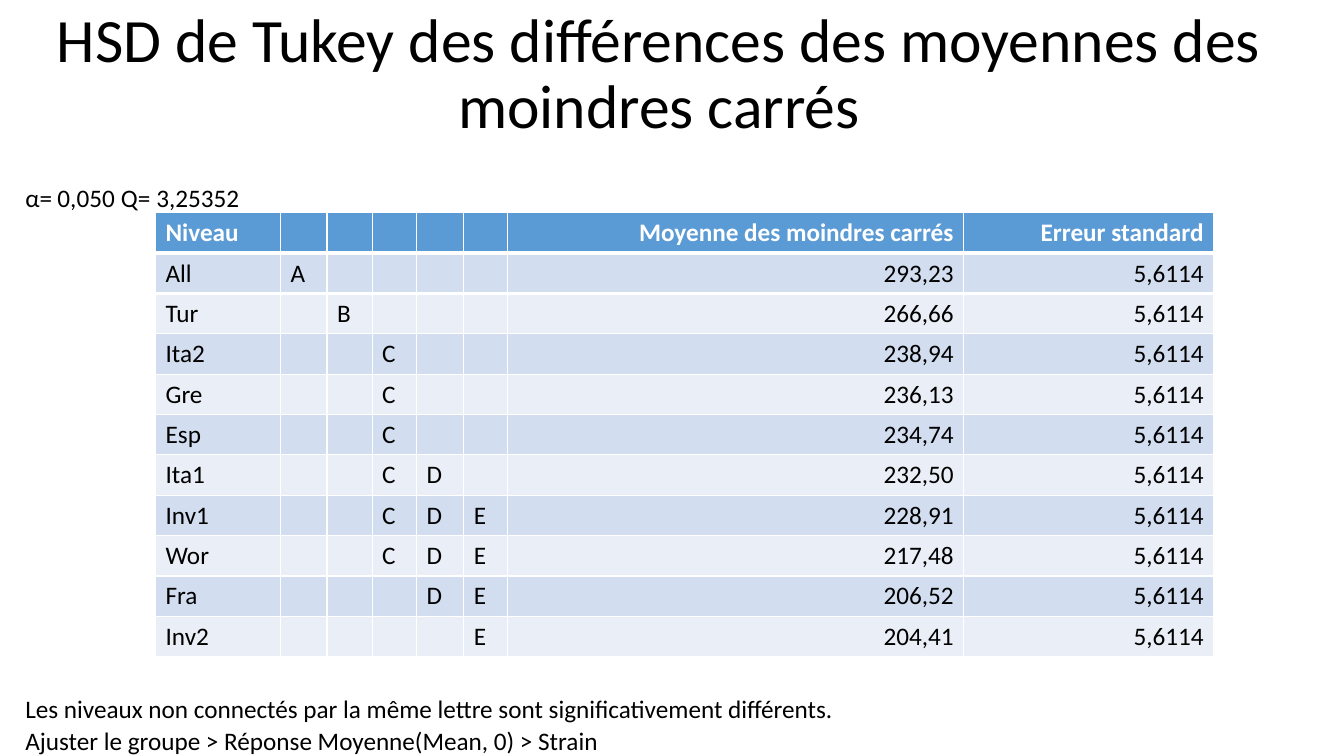
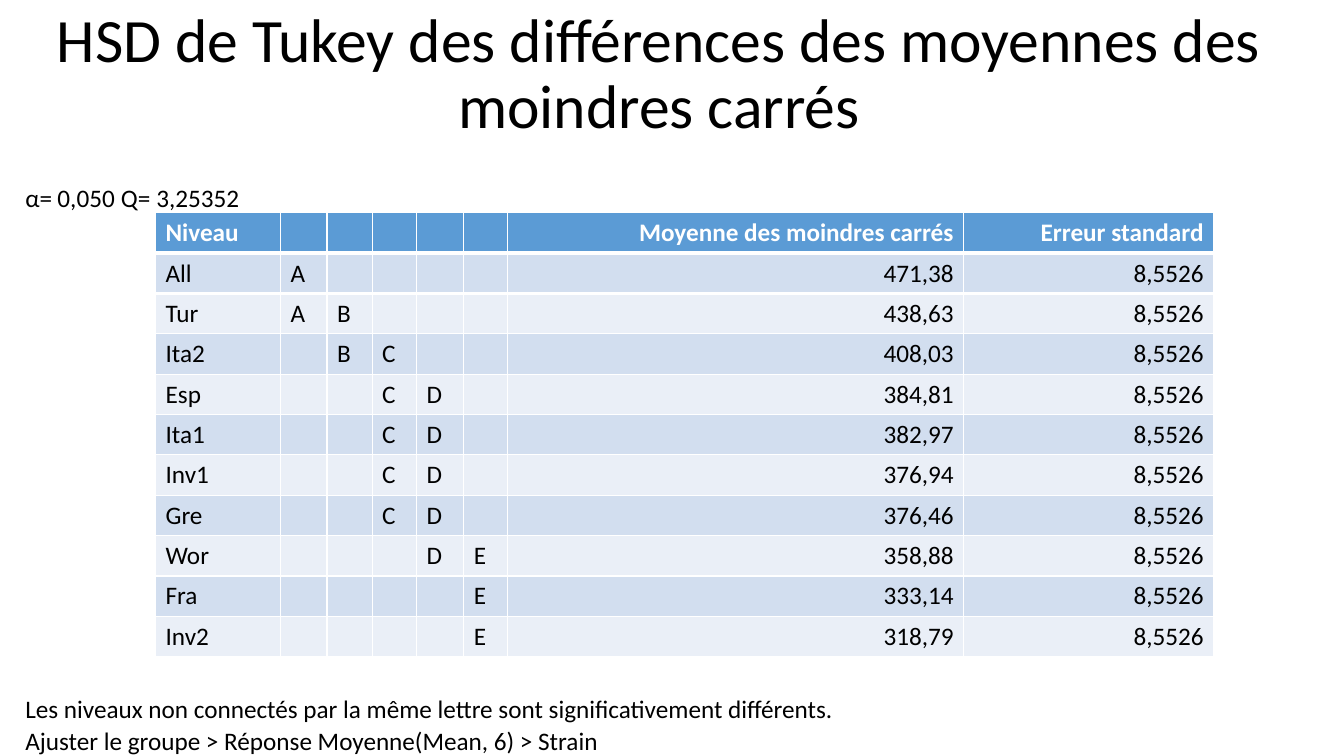
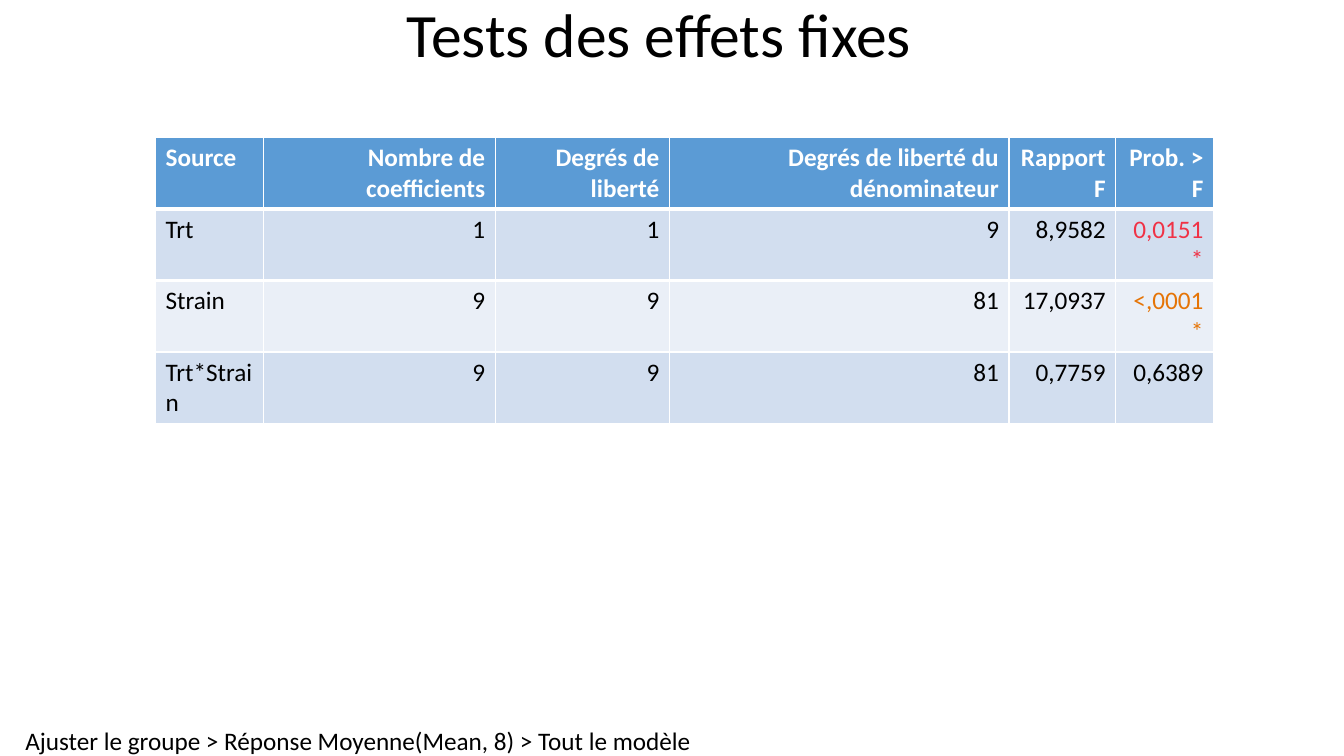
from dataclasses import dataclass

from lxml.etree import SubElement
from pptx import Presentation
from pptx.dml.color import RGBColor
from pptx.enum.text import MSO_ANCHOR, MSO_AUTO_SIZE, PP_ALIGN
from pptx.oxml.ns import qn
from pptx.util import Cm, Pt


@dataclass(frozen=True)
class Theme:
    font: str = "Calibri"
    title_size: Pt = Pt(44)
    text_size: Pt = Pt(18)
    header_rule: Pt = Pt(3)
    ink: RGBColor = RGBColor.from_string("000000")
    header_ink: RGBColor = RGBColor.from_string("FFFFFF")
    header_fill: RGBColor = RGBColor.from_string("5B9BD5")
    odd_fill: RGBColor = RGBColor.from_string("D2DEEF")
    even_fill: RGBColor = RGBColor.from_string("EAEFF7")
    significant: RGBColor = RGBColor.from_string("F03246")
    very_significant: RGBColor = RGBColor.from_string("E57406")


THEME = Theme()
LEFT_MARGIN = 0.64
LABEL_HEIGHT = 0.79
SOURCE_TOP = 18.28
TABLE_LEFT = 3.92
GROUP_LETTERS = "ABCDE"
TUKEY_TITLE = "HSD de Tukey des différences des moyennes des moindres carrés"
TUKEY_NOTE = "Les niveaux non connectés par la même lettre sont significativement différents."
TUKEY_HEADER = ["Niveau", *[""] * len(GROUP_LETTERS), "Moyenne des moindres carrés", "Erreur standard"]
TUKEY_WIDTHS = [3.15, 1.17, 1.14, 1.12, 1.19, 1.1, 11.5, 6.3]
TUKEY_PARAMETERS = [("α=", 0.64, 0.78), ("0,050", 1.45, 1.55), ("Q=", 3.05, 0.87), ("3,25352", 3.94, 2.3)]

tukey_tests = [
    ("Ajuster le groupe > Réponse Moyenne(Mean, 0) > Strain", "5,6114", [
        ("All", "A", "293,23"),
        ("Tur", "B", "266,66"),
        ("Ita2", "C", "238,94"),
        ("Gre", "C", "236,13"),
        ("Esp", "C", "234,74"),
        ("Ita1", "CD", "232,50"),
        ("Inv1", "CDE", "228,91"),
        ("Wor", "CDE", "217,48"),
        ("Fra", "DE", "206,52"),
        ("Inv2", "E", "204,41"),
    ]),
    ("Ajuster le groupe > Réponse Moyenne(Mean, 6) > Strain", "8,5526", [
        ("All", "A", "471,38"),
        ("Tur", "AB", "438,63"),
        ("Ita2", "BC", "408,03"),
        ("Esp", "CD", "384,81"),
        ("Ita1", "CD", "382,97"),
        ("Inv1", "CD", "376,94"),
        ("Gre", "CD", "376,46"),
        ("Wor", "DE", "358,88"),
        ("Fra", "E", "333,14"),
        ("Inv2", "E", "318,79"),
    ]),
]

fixed_effects = [
    ["Source", "Nombre de coefficients", "Degrés de liberté",
     "Degrés de liberté du dénominateur", "Rapport F", "Prob. > F"],
    ["Trt", "1", "1", "9", "8,9582", "0,0151*"],
    ["Strain", "9", "9", "81", "17,0937", "<,0001*"],
    ["Trt*Strain", "9", "9", "81", "0,7759", "0,6389"],
]
EFFECT_WIDTHS = [2.72, 5.84, 4.39, 8.56, 2.69, 2.46]
HIGHLIGHTS = {"0,0151*": THEME.significant, "<,0001*": THEME.very_significant}


def write(frame, text, size, color, align=PP_ALIGN.LEFT, bold=False):
    frame.text = text
    paragraph = frame.paragraphs[0]
    paragraph.alignment = align
    for run in paragraph.runs:
        run.font.name = THEME.font
        run.font.size = size
        run.font.bold = bold
        run.font.color.rgb = color
    return paragraph


def rule_edge(cell, edge):
    properties = cell._tc.get_or_add_tcPr()
    rule = SubElement(properties, qn(edge), w=str(int(THEME.header_rule)))
    SubElement(SubElement(rule, qn("a:solidFill")), qn("a:srgbClr"), val=str(THEME.header_ink))
    properties.insert(0, rule)


deck = Presentation()
deck.slide_width, deck.slide_height = Cm(33.87), Cm(19.05)

pages = []
for source, error, levels in tukey_tests:
    rows = [TUKEY_HEADER]
    for level, groups, mean in levels:
        letters = [letter if letter in groups else "" for letter in GROUP_LETTERS]
        rows.append([level, *letters, mean, error])
    labels = [(text, left, 4.6, width) for text, left, width in TUKEY_PARAMETERS]
    labels += [(TUKEY_NOTE, LEFT_MARGIN, 17.48, 20.8), (source, LEFT_MARGIN, SOURCE_TOP, 14.8)]
    pages.append((TUKEY_TITLE, 3.81, labels, rows, TUKEY_WIDTHS, 5.36, 1.01, 6))

model_source = "Ajuster le groupe > Réponse Moyenne(Mean, 8) > Tout le modèle"
pages.append(("Tests des effets fixes", 1.9, [(model_source, LEFT_MARGIN, SOURCE_TOP, 17.2)],
              fixed_effects, EFFECT_WIDTHS, 3.47, 1.8, 1))

for heading, heading_height, labels, rows, widths, table_top, row_height, first_number in pages:
    slide = deck.slides.add_slide(deck.slide_layouts[5])
    title = slide.shapes.title
    title.left, title.top, title.width, title.height = Cm(0), Cm(0), Cm(33.22), Cm(heading_height)
    title.text_frame.vertical_anchor = MSO_ANCHOR.MIDDLE
    title.text_frame.auto_size = MSO_AUTO_SIZE.NONE
    write(title.text_frame, heading, THEME.title_size, THEME.ink, PP_ALIGN.CENTER).line_spacing = 0.9

    for text, left, top, width in labels:
        label = slide.shapes.add_textbox(Cm(left), Cm(top), Cm(width), Cm(LABEL_HEIGHT)).text_frame
        label.margin_left = label.margin_top = label.margin_right = label.margin_bottom = 0
        label.word_wrap = False
        label.auto_size = MSO_AUTO_SIZE.SHAPE_TO_FIT_TEXT
        write(label, text, THEME.text_size, THEME.ink)

    results = slide.shapes.add_table(
        len(rows), len(widths), Cm(TABLE_LEFT), Cm(table_top),
        Cm(sum(widths)), Cm(row_height * len(rows))).table
    for column, width in zip(results.columns, widths):
        column.width = Cm(width)
    for row_index, values in enumerate(rows):
        results.rows[row_index].height = Cm(row_height)
        is_header = row_index == 0
        band = THEME.odd_fill if row_index % 2 else THEME.even_fill
        ink = THEME.header_ink if is_header else THEME.ink
        for column_index, value in enumerate(values):
            cell = results.cell(row_index, column_index)
            cell.fill.solid()
            cell.fill.fore_color.rgb = THEME.header_fill if is_header else band
            if row_index < 2:
                rule_edge(cell, "a:lnB" if is_header else "a:lnT")
            align = PP_ALIGN.RIGHT if column_index >= first_number else PP_ALIGN.LEFT
            write(cell.text_frame, value, THEME.text_size, HIGHLIGHTS.get(value, ink), align, is_header)

deck.save("out.pptx")
